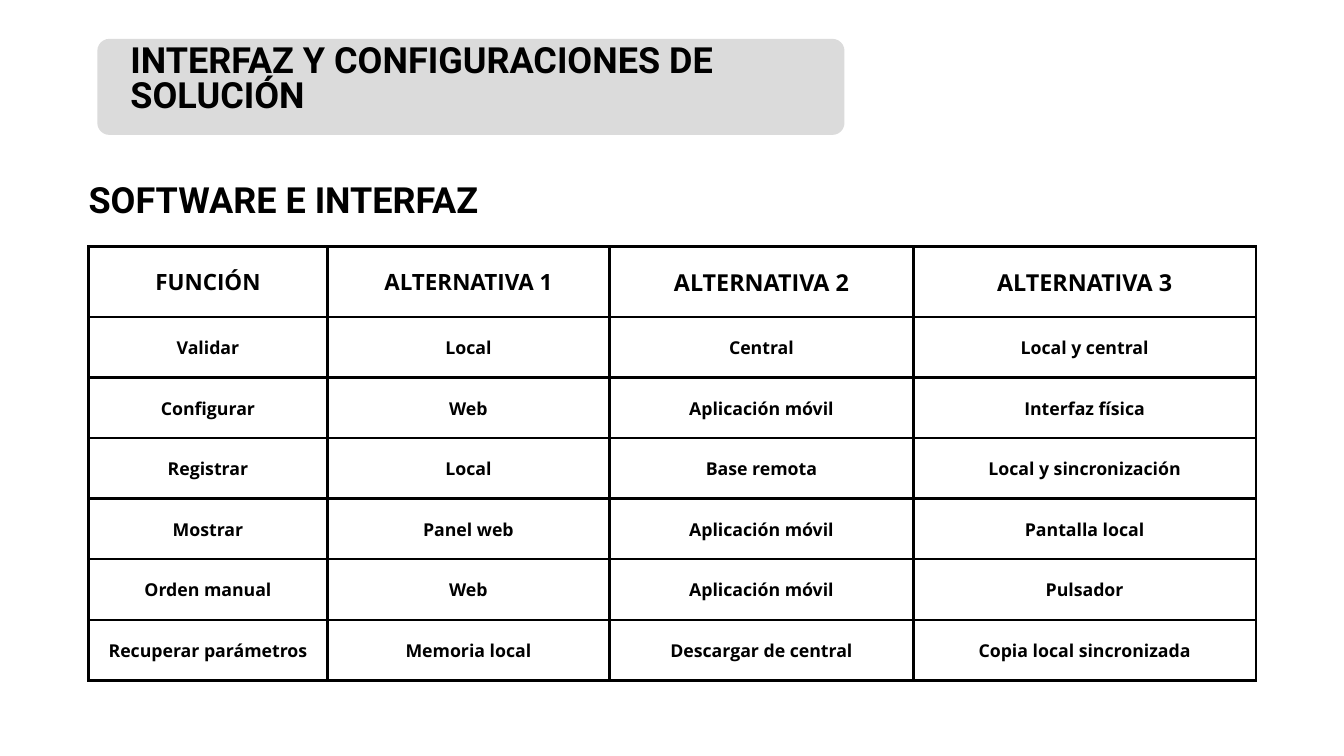
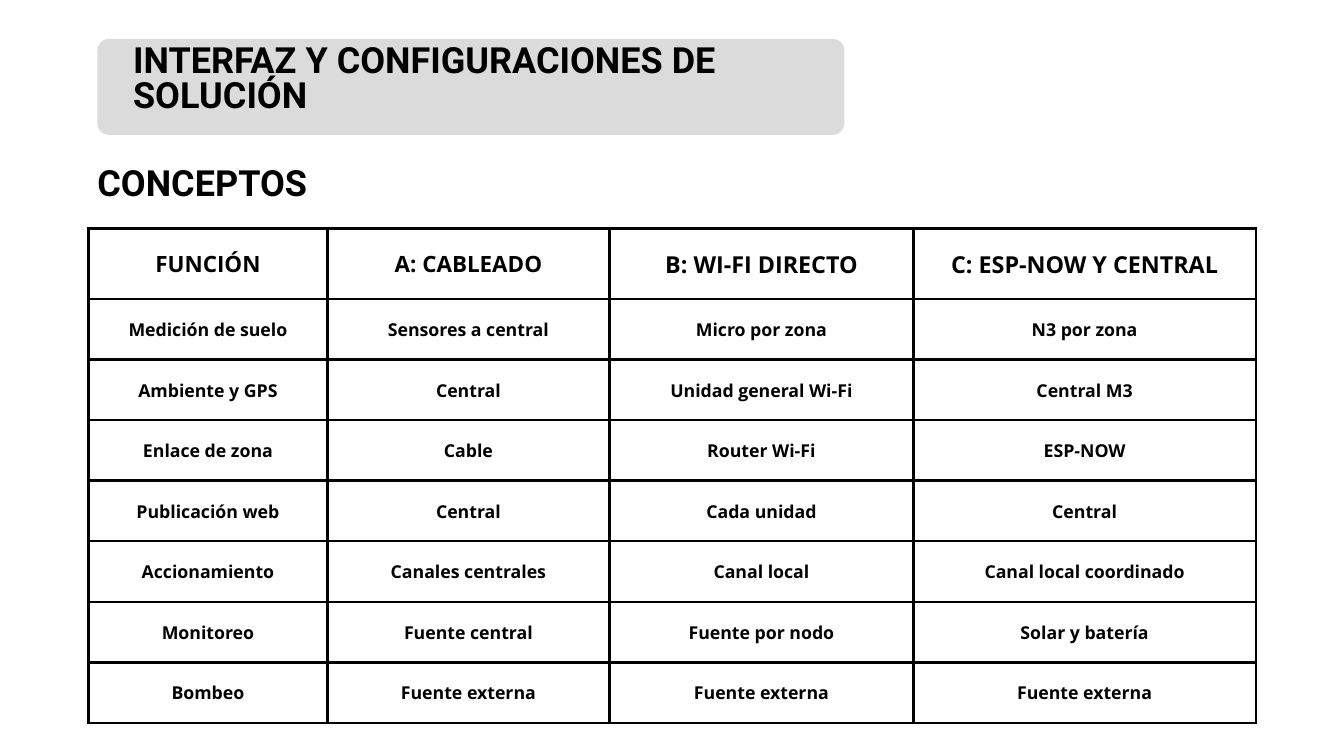
from lxml import etree
from pptx import Presentation
from pptx.dml.color import RGBColor
from pptx.enum.shapes import MSO_SHAPE as SHAPE
from pptx.enum.text import MSO_ANCHOR as ANCHOR, MSO_AUTO_SIZE as FIT, PP_ALIGN as ALIGN
from pptx.oxml import parse_xml
from pptx.oxml.ns import nsdecls
from pptx.util import Cm, Pt

BLACK = RGBColor(0x00, 0x00, 0x00)
GREY = RGBColor(0xDB, 0xDB, 0xDB)

TITLE = "INTERFAZ Y CONFIGURACIONES DE SOLUCIÓN"
BAND_BOX = (3.68, 1.47, 28.24, 3.63)
TABLE_LEFT = 3.35
COLUMNS = (9.02, 10.67, 11.48, 12.95)
HEADER_HEIGHT, ROW_HEIGHT = 2.66, 2.29
HEADER_SIZES = (24, 24, 25, 25)
BODY_SIZE = 19
BORDER = 3
CELL_MARGIN = 0.53

HEADING_FONT = {"name": "Roboto", "size": Pt(38.6), "bold": True}
CELL_FONT = {"name": "Open Sans", "bold": True}
NO_MARGINS = dict.fromkeys(
    ("margin_left", "margin_right", "margin_top", "margin_bottom"), 0)
CELL_FORMAT = {**dict.fromkeys(NO_MARGINS, Cm(CELL_MARGIN)),
               "vertical_anchor": ANCHOR.MIDDLE}

SOFTWARE = (
    ("FUNCIÓN", "ALTERNATIVA 1", "ALTERNATIVA 2", "ALTERNATIVA 3"),
    ("Validar", "Local", "Central", "Local y central"),
    ("Configurar", "Web", "Aplicación móvil", "Interfaz física"),
    ("Registrar", "Local", "Base remota", "Local y sincronización"),
    ("Mostrar", "Panel web", "Aplicación móvil", "Pantalla local"),
    ("Orden manual", "Web", "Aplicación móvil", "Pulsador"),
    ("Recuperar parámetros", "Memoria local", "Descargar de central",
     "Copia local sincronizada"),
)
CONCEPTS = (
    ("FUNCIÓN", "A: CABLEADO", "B: WI-FI DIRECTO", "C: ESP-NOW Y CENTRAL"),
    ("Medición de suelo", "Sensores a central", "Micro por zona", "N3 por zona"),
    ("Ambiente y GPS", "Central", "Unidad general Wi-Fi", "Central M3"),
    ("Enlace de zona", "Cable", "Router Wi-Fi", "ESP-NOW"),
    ("Publicación web", "Central", "Cada unidad", "Central"),
    ("Accionamiento", "Canales centrales", "Canal local", "Canal local coordinado"),
    ("Monitoreo", "Fuente central", "Fuente por nodo", "Solar y batería"),
    ("Bombeo", "Fuente externa", "Fuente externa", "Fuente externa"),
)


def apply(obj, values):
    for name, value in values.items():
        setattr(obj, name, value)


def write(tf, text, font, align, spacing):
    """Put one formatted paragraph in a text frame."""
    p = tf.paragraphs[0]
    apply(p, {"alignment": align, "line_spacing": Pt(spacing)})
    r = p.add_run()
    r.text = text
    apply(r.font, font)
    r.font.color.rgb = BLACK


def write_heading(sp, text):
    tf = sp.text_frame
    apply(tf, {**NO_MARGINS, "word_wrap": True, "auto_size": FIT.NONE,
               "vertical_anchor": ANCHOR.TOP})
    write(tf, text, HEADING_FONT, ALIGN.LEFT, 37.1)


def add_title_band(s, box, indent):
    """Grey rounded band with the slide title on it."""
    left, top, width, height = box
    band = s.shapes.add_shape(SHAPE.ROUNDED_RECTANGLE, *map(Cm, box))
    band.adjustments[0] = 0.125
    band.shadow.inherit = False
    band.fill.solid()
    band.fill.fore_color.rgb = GREY
    band.line.fill.background()
    # The band goes behind the title
    band.element.getparent().insert(2, band.element)

    title = s.shapes.title
    apply(title, {"left": Cm(left + indent), "top": Cm(top + 0.28),
                  "width": Cm(24.92), "height": Cm(3)})
    write_heading(title, TITLE)


def add_subheading(s, box, text):
    write_heading(s.shapes.add_textbox(*map(Cm, box)), text)


def add_borders(cell):
    tc_pr = cell._tc.get_or_add_tcPr()
    for i, side in enumerate("LRTB"):
        line = parse_xml(
            f'<a:ln{side} {nsdecls("a")} w="{Pt(BORDER)}"><a:solidFill>'
            f'<a:srgbClr val="{BLACK}"/></a:solidFill></a:ln{side}>')
        tc_pr.insert(i, line)


def add_grid(s, left, top, rows):
    """Table with a larger header row and black rules on every cell."""
    heights = [HEADER_HEIGHT] + [ROW_HEIGHT] * (len(rows) - 1)
    box = (left, top, sum(COLUMNS), sum(heights))
    table = s.shapes.add_table(len(rows), len(COLUMNS), *map(Cm, box)).table
    apply(table, {"first_row": False, "horz_banding": False})
    for column, width in zip(table.columns, COLUMNS):
        column.width = Cm(width)
    for i, (row, height) in enumerate(zip(table.rows, heights)):
        row.height = Cm(height)
        for j, cell in enumerate(row.cells):
            size = BODY_SIZE if i else HEADER_SIZES[j]
            apply(cell, CELL_FORMAT)
            cell.fill.background()
            add_borders(cell)
            write(cell.text_frame, rows[i][j], {**CELL_FONT, "size": Pt(size)},
                  ALIGN.CENTER, 1.4 * size)


def add_table_slide(prs, indent, heading, heading_box, table_top, rows):
    s = prs.slides.add_slide(prs.slide_layouts[5])
    add_title_band(s, BAND_BOX, indent)
    add_grid(s, TABLE_LEFT, table_top, rows)
    add_subheading(s, heading_box, heading)


def main():
    prs = Presentation()
    apply(prs, {"slide_width": Cm(50.8), "slide_height": Cm(28.58)})
    add_table_slide(prs, 1.25, "SOFTWARE E INTERFAZ", (3.35, 7.04, 18.77, 1.7),
                    9.32, SOFTWARE)
    add_table_slide(prs, 1.35, "CONCEPTOS", (3.68, 6.4, 13.54, 1.7),
                    8.64, CONCEPTS)
    prs.save("out.pptx")


if __name__ == "__main__":
    main()
